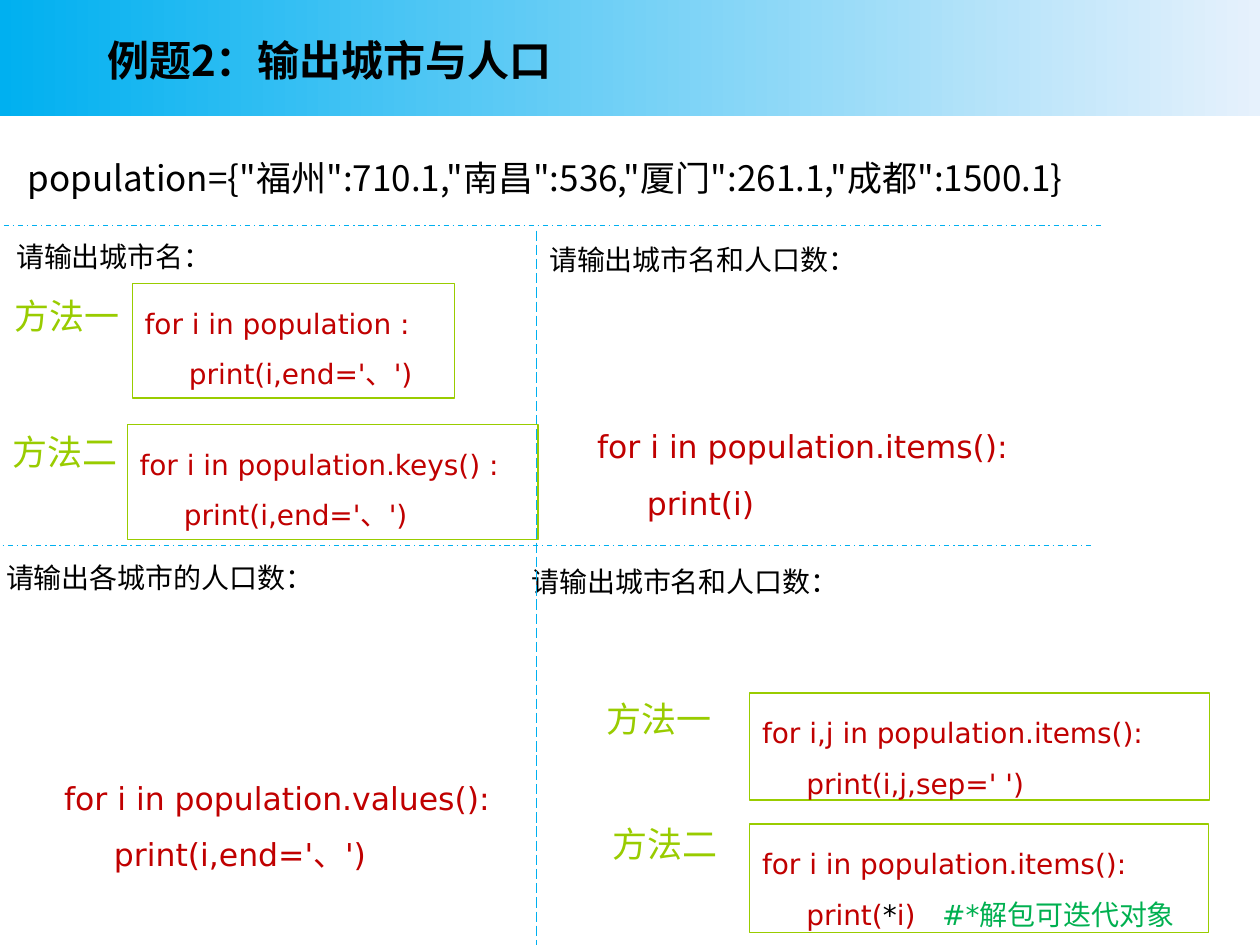
from lxml.etree import SubElement
from pptx import Presentation
from pptx.dml.color import RGBColor
from pptx.enum.dml import MSO_LINE_DASH_STYLE as Dash
from pptx.enum.shapes import MSO_CONNECTOR, MSO_SHAPE
from pptx.enum.text import MSO_ANCHOR, PP_ALIGN
from pptx.oxml.ns import qn
from pptx.util import Inches, Pt

BLACK = RGBColor(0, 0, 0)
SKY = RGBColor(0x00, 0xB0, 0xF0)
PALE = RGBColor(0xE6, 0xF1, 0xFC)
LIME = RGBColor(0x99, 0xCC, 0x00)
RED = RGBColor(0xC0, 0x00, 0x00)
GREEN = RGBColor(0x00, 0xB0, 0x50)
HAN, LATIN = "Noto Sans CJK SC", "DejaVu Sans"
WIDTH, HEIGHT = 10, 7.5
MIDDLE = 4.26

TITLE = "例题2：输出城市与人口"
DATA = 'population={"福州":710.1,"南昌":536,"厦门":261.1,"成都":1500.1}'
TASKS = [
    ("请输出城市名：", 0.03, 1.85, 1.65),
    ("请输出各城市的人口数：", -0.05, 4.4, 3.61),
    ("请输出城市名和人口数：", MIDDLE, 1.88, 2.75),
    ("请输出城市名和人口数：", 4.12, 4.43, 2.77),
]
METHODS = [
    ("方法一", 0.01, 2.29),
    ("方法二", 0, 3.37),
    ("方法一", 4.71, 5.49),
    ("方法二", 4.76, 6.48),
]
PRINT_END = [("     print(i,end='、')", RED)]
UNPACK = [("     print(", RED), ("*", BLACK), ("i)   ", RED), ("#*解包可迭代对象", GREEN)]
FRAMED_CODE = [
    ("for i in population :", PRINT_END, (1.05, 2.25, 2.56, 0.91)),
    ("for i in population.keys() :", PRINT_END, (1.01, 3.37, 3.26, 0.91)),
    ("for i,j in population.items():", [("     print(i,j,sep=' ')", RED)], (5.95, 5.5, 3.65, 0.85)),
    ("for i in population.items():", UNPACK, (5.95, 6.54, 3.64, 0.86)),
]
PLAIN_CODE = [
    ("for i in population.items():", [("     print(i)", RED)], (4.64, 3.19, 3.6, 1.01)),
    ("for i in population.values():", PRINT_END, (0.41, 5.98, 3.61, 1.01)),
]
DIVIDERS = [
    (0.03, 1.79, 8.75, 1.79, Dash.DASH_DOT),
    (-0.05, 4.33, 8.67, 4.33, Dash.DASH_DOT),
    (MIDDLE, 1.83, MIDDLE, HEIGHT, Dash.LONG_DASH),
]


def place(shape, area):
    for name, value in zip(("left", "top", "width", "height"), area):
        setattr(shape, name, Inches(value))


def write(shape, lines, size, face=LATIN, bold=False, wrap=True, anchor=MSO_ANCHOR.TOP, **layout):
    frame = shape.text_frame
    frame.word_wrap, frame.vertical_anchor = wrap, anchor
    for number, line in enumerate(lines):
        para = frame.add_paragraph() if number else frame.paragraphs[0]
        for name, value in {"alignment": PP_ALIGN.LEFT, "space_before": Pt(0), **layout}.items():
            setattr(para, name, value)
        for text, color in line:
            span = para.add_run()
            span.text = text
            for name, value in {"size": Pt(size), "name": face, "bold": bold}.items():
                setattr(span.font, name, value)
            span.font.color.rgb = color
            SubElement(span.font._element, qn("a:ea"), typeface=HAN)


def add_header(page):
    band = page.shapes.add_shape(MSO_SHAPE.RECTANGLE, 0, 0, Inches(WIDTH), Inches(0.92))
    band.shadow.inherit = False
    band.line.fill.background()
    band.fill.gradient()
    band.fill.gradient_angle = 0
    for stop, color, position in zip(band.fill.gradient_stops, (SKY, PALE), (0, 1)):
        stop.color.rgb, stop.position = color, position
    page.shapes._spTree.insert(2, band._element)


def add_placeholders(page):
    title, body = page.placeholders
    place(title, (0.75, 0.14, 8.14, 0.67))
    write(title, [[(TITLE, BLACK)]], 24, HAN, bold=True, anchor=MSO_ANCHOR.MIDDLE)
    place(body, (0.12, 1.19, 9.78, 0.5))
    marks = body.text_frame.paragraphs[0]._p.get_or_add_pPr()
    marks.set("marL", "0")
    marks.set("indent", "0")
    SubElement(marks, qn("a:buNone"))
    write(body, [[(DATA, BLACK)]], 20, HAN)


def add_box(page, area):
    return page.shapes.add_textbox(*map(Inches, area))


def add_frame(page, area):
    frame = page.shapes.add_shape(MSO_SHAPE.RECTANGLE, *map(Inches, area))
    frame.shadow.inherit = False
    frame.fill.background()
    frame.line.color.rgb, frame.line.width = LIME, Pt(0.75)
    return frame


def add_divider(page, x1, y1, x2, y2, dash):
    divider = page.shapes.add_connector(MSO_CONNECTOR.STRAIGHT, *map(Inches, (x1, y1, x2, y2)))
    for name, value in {"width": Pt(0.75), "dash_style": dash}.items():
        setattr(divider.line, name, value)
    divider.line.color.rgb = SKY
    SubElement(divider._element.spPr, qn("a:effectLst"))


def main():
    """Build the slide on printing cities and populations from a dictionary."""
    deck = Presentation()
    deck.slide_width, deck.slide_height = Inches(WIDTH), Inches(HEIGHT)
    page = deck.slides.add_slide(deck.slide_layouts[1])
    add_header(page)
    add_placeholders(page)
    for text, left, top, width in TASKS:
        write(add_box(page, (left, top, width, 0.37)), [[(text, BLACK)]], 16)
    for divider in DIVIDERS:
        add_divider(page, *divider)
    for blocks, add, size in ((FRAMED_CODE, add_frame, 16), (PLAIN_CODE, add_box, 18)):
        for loop, action, area in blocks:
            write(add(page, area), [[(loop, RED)], action], size, line_spacing=1.5)
    for text, left, top in METHODS:
        box = add_box(page, (left, top, 1.04, 0.44))
        write(box, [[(text, LIME)]], 20, wrap=False, alignment=PP_ALIGN.CENTER)
    deck.save("out.pptx")


if __name__ == "__main__":
    main()
